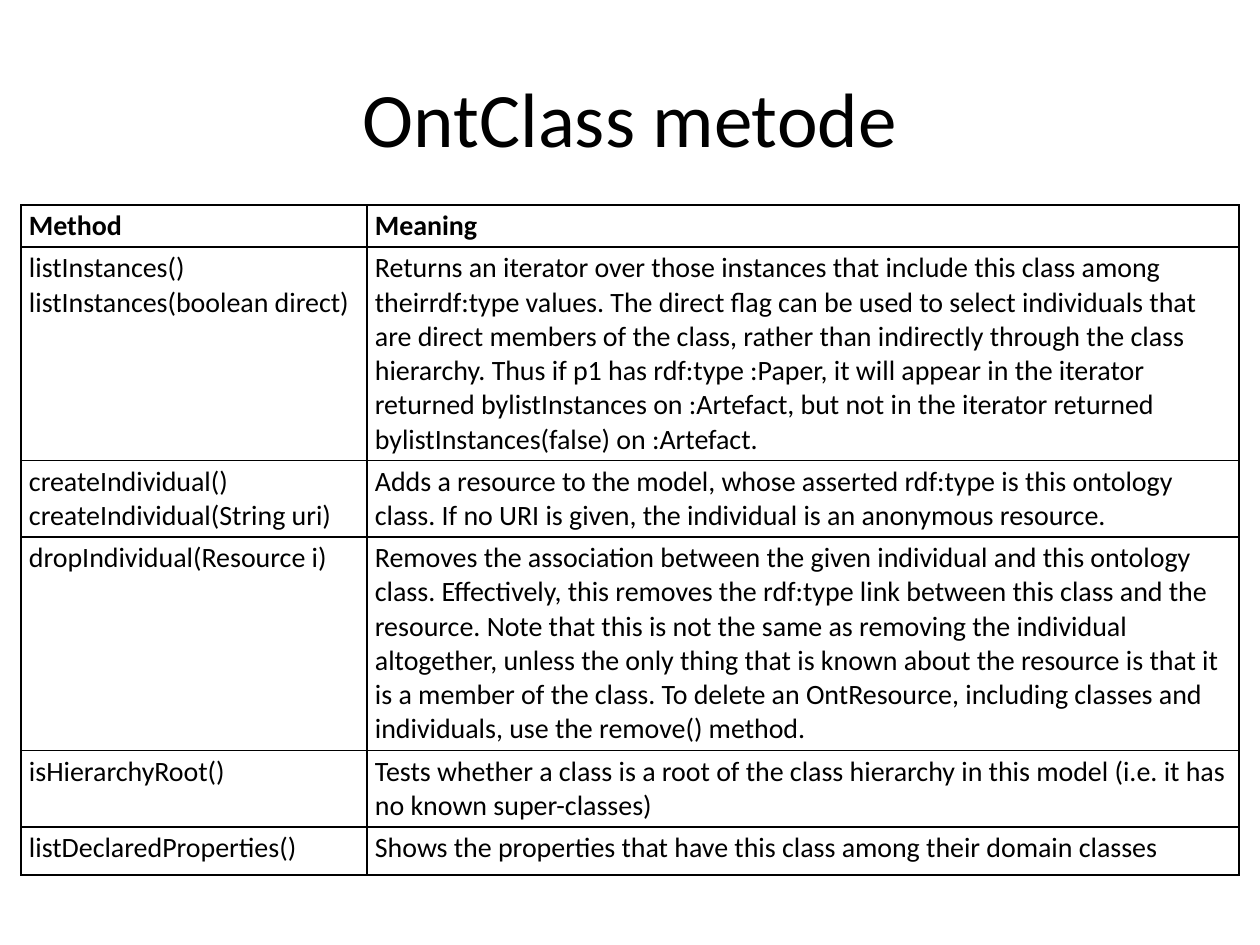
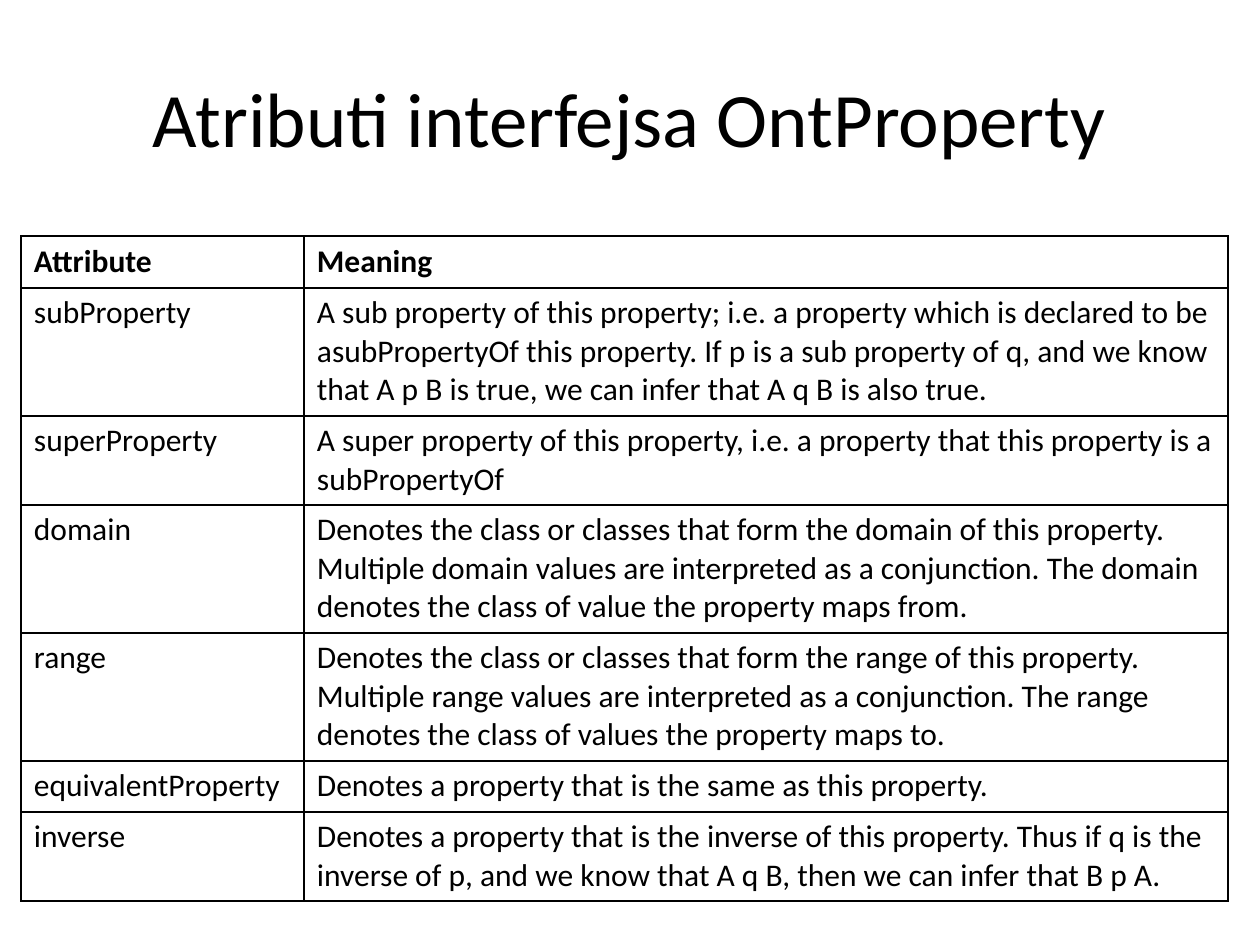
from dataclasses import dataclass

from lxml.etree import SubElement
from pptx import Presentation
from pptx.dml.color import RGBColor
from pptx.enum.text import MSO_ANCHOR as Anchor, PP_ALIGN as Align
from pptx.oxml.ns import qn
from pptx.util import Emu, Pt


@dataclass(frozen=True)
class Theme:
    font: str = "Calibri"
    ink: str = "000000"
    paper: str = "FFFFFF"
    title_size: int = 44
    border: int = 1


THEME = Theme()
TITLE_LAYOUT = 5
TABLE_LEFT = 21


def px(n):
    """Turn whole pixels (126 to the inch) into EMU."""
    return Emu(round(n * 914400 / 126))


def add_text(p, text, size, bold=False):
    """Add one run per line of text, with line breaks in between."""
    for i, line in enumerate(text.split("\n")):
        if i:
            p.add_line_break()
        r = p.add_run()
        r.text = line
        r.font.name = THEME.font
        r.font.size = Pt(size)
        r.font.bold = bold
        r.font.color.rgb = RGBColor.from_string(THEME.ink)


class_methods = [
    ("Method", "Meaning"),
    ("listInstances()\nlistInstances(boolean direct)",
     "Returns an iterator over those instances that include this class among "
     "theirrdf:type values. The direct flag can be used to select individuals "
     "that are direct members of the class, rather than indirectly through the "
     "class hierarchy. Thus if p1 has rdf:type :Paper, it will appear in the "
     "iterator returned bylistInstances on :Artefact, but not in the iterator "
     "returned bylistInstances(false) on :Artefact."),
    ("createIndividual()\ncreateIndividual(String uri)",
     "Adds a resource to the model, whose asserted rdf:type is this ontology "
     "class. If no URI is given, the individual is an anonymous resource."),
    ("dropIndividual(Resource i)",
     "Removes the association between the given individual and this ontology "
     "class. Effectively, this removes the rdf:type link between this class and "
     "the resource. Note that this is not the same as removing the individual "
     "altogether, unless the only thing that is known about the resource is that "
     "it is a member of the class. To delete an OntResource, including classes "
     "and individuals, use the remove() method."),
    ("isHierarchyRoot()",
     "Tests whether a class is a root of the class hierarchy in this model "
     "(i.e. it has no known super-classes)"),
    ("listDeclaredProperties()",
     "Shows the properties that have this class among their domain classes"),
]

property_attributes = [
    ("Attribute", "Meaning"),
    ("subProperty",
     "A sub property of this property; i.e. a property which is declared to be "
     "asubPropertyOf this property. If p is a sub property of q, and we know "
     "that A p B is true, we can infer that A q B is also true."),
    ("superProperty",
     "A super property of this property, i.e. a property that this property is "
     "a subPropertyOf"),
    ("domain",
     "Denotes the class or classes that form the domain of this property. "
     "Multiple domain values are interpreted as a conjunction. The domain "
     "denotes the class of value the property maps from."),
    ("range",
     "Denotes the class or classes that form the range of this property. "
     "Multiple range values are interpreted as a conjunction. The range "
     "denotes the class of values the property maps to."),
    ("equivalentProperty", "Denotes a property that is the same as this property."),
    ("inverse",
     "Denotes a property that is the inverse of this property. Thus if q is the "
     "inverse of p, and we know that A q B, then we can infer that B p A."),
]

# title, rows, table top, column widths, row heights, text size, cell margins (x, y)
pages = [
    ("OntClass metode", class_methods, 205,
     (346, 872), (42, 213, 76, 213, 76, 48), 16, (8, 4)),
    ("Atributi interfejsa OntProperty", property_attributes, 236,
     (283, 924), (52, 128, 89, 128, 128, 51, 89), 18, (13, 6)),
]

prs = Presentation()
prs.slide_width, prs.slide_height = px(1260), px(945)

for title, rows, top, widths, heights, size, (margin_x, margin_y) in pages:
    s = prs.slides.add_slide(prs.slide_layouts[TITLE_LAYOUT])
    s.background.fill.solid()
    s.background.fill.fore_color.rgb = RGBColor.from_string(THEME.paper)

    sp = s.shapes.title
    sp.left, sp.top, sp.width, sp.height = px(63), px(38), px(1134), px(158)
    tf = sp.text_frame
    tf.vertical_anchor = Anchor.MIDDLE
    p = tf.paragraphs[0]
    p.alignment = Align.CENTER
    add_text(p, title, THEME.title_size)

    table = s.shapes.add_table(len(rows), len(widths), px(TABLE_LEFT), px(top),
                               px(sum(widths)), px(sum(heights))).table
    table.horz_banding = False
    table.first_row = False
    for column, width in zip(table.columns, widths):
        column.width = px(width)
    for row, height in zip(table.rows, heights):
        row.height = px(height)

    for i, texts in enumerate(rows):
        header = i == 0
        for j, text in enumerate(texts):
            cell = table.cell(i, j)
            cell.margin_left = cell.margin_right = px(margin_x)
            cell.margin_top = cell.margin_bottom = px(margin_y)
            cell.vertical_anchor = Anchor.MIDDLE if header else Anchor.TOP
            add_text(cell.text_frame.paragraphs[0], text, size, bold=header)
            tc_pr = cell._tc.get_or_add_tcPr()
            for side in ("lnL", "lnR", "lnT", "lnB"):
                ln = SubElement(tc_pr, qn(f"a:{side}"), w=str(Pt(THEME.border)))
                fill = SubElement(ln, qn("a:solidFill"))
                SubElement(fill, qn("a:srgbClr"), val=THEME.ink)
            cell.fill.background()

prs.save("out.pptx")
